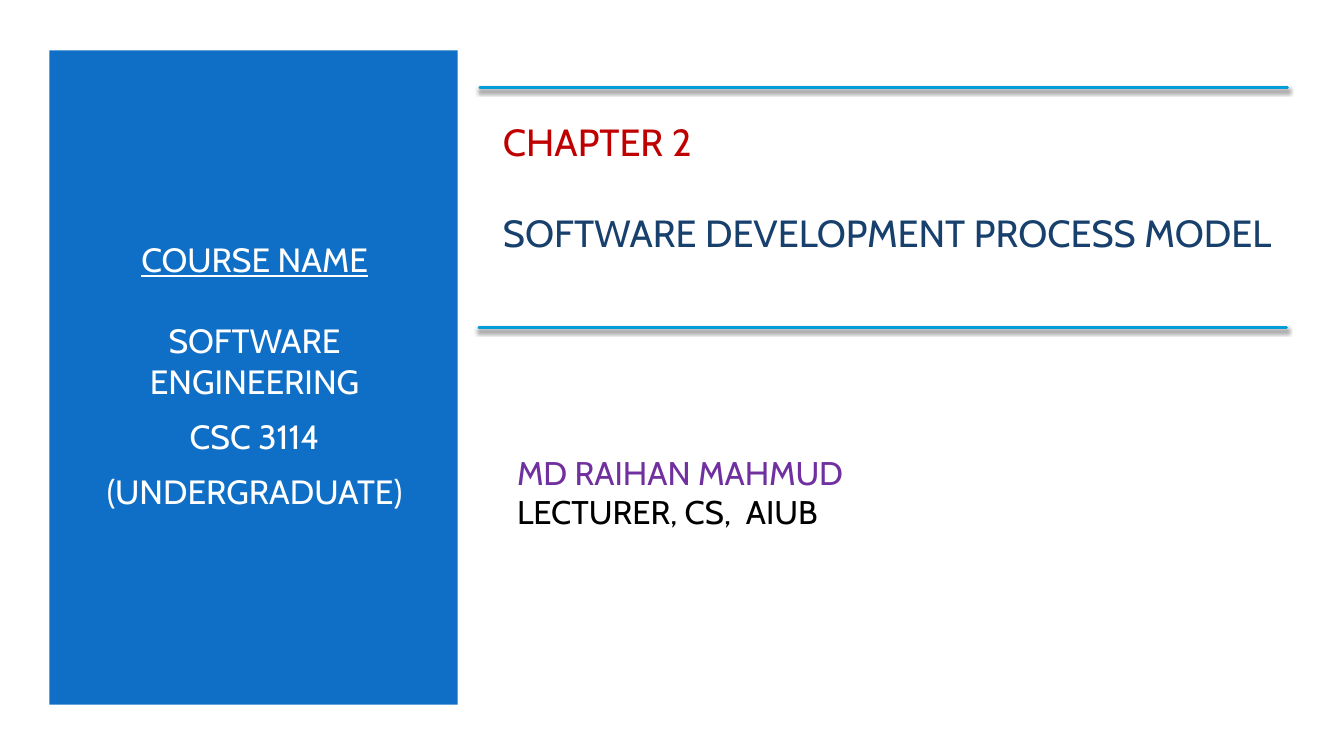
from lxml import etree
from pptx import Presentation
from pptx.dml.color import RGBColor
from pptx.enum import shapes, text
from pptx.oxml import ns
from pptx.util import Inches, Pt

COLORS = {
    "panel": "0F6FC6", "white": "FFFFFF", "chapter": "C00000", "title": "17406D",
    "lecturer": "7030A0", "black": "000000", "rule": "009DD9",
}
FONT = "Cabin"


def color(name):
    return RGBColor.from_string(COLORS[name])


def add_text(box, size, lines, align=text.PP_ALIGN.LEFT):
    """Fill a new text box; each line is (wording, colour, space before, space after)."""
    frame = slide.shapes.add_textbox(*map(Inches, box)).text_frame
    frame.word_wrap = True
    frame.vertical_anchor = text.MSO_ANCHOR.MIDDLE
    for i, (wording, shade, before, after) in enumerate(lines):
        paragraph = frame.add_paragraph() if i else frame.paragraphs[0]
        paragraph.text = wording
        paragraph.alignment = align
        paragraph.space_before, paragraph.space_after = Pt(before), Pt(after)
        paragraph.font.name = FONT
        paragraph.font.size = Pt(size)
        paragraph.font.color.rgb = color(shade)
    return frame


prs = Presentation()
prs.slide_width, prs.slide_height = Inches(13.33), Inches(7.5)
slide = prs.slides.add_slide(prs.slide_layouts[6])

panel = slide.shapes.add_shape(
    shapes.MSO_SHAPE.RECTANGLE, Inches(0.49), Inches(0.5), Inches(4.05), Inches(6.49))
panel.shadow.inherit = False
panel.fill.solid()
panel.fill.fore_color.rgb = color("panel")
panel.line.fill.background()

course = add_text((0.84, 1.1, 3.37, 5.25), 24, [
    ("COURSE NAME", "white", 0, 0),
    ("SOFTWARE ENGINEERING", "white", 29, 6),
    ("CSC 3114", "white", 4.8, 6),
    ("(UNDERGRADUATE)", "white", 4.8, 6),
], text.PP_ALIGN.CENTER)
course.paragraphs[0].font.underline = True

add_text((4.89, 1.1, 7.95, 1.51), 27, [
    ("CHAPTER 2", "chapter", 0, 0),
    ("SOFTWARE DEVELOPMENT PROCESS MODEL", "title", 33, 0),
])
add_text((5.03, 4.1, 6.66, 1.56), 23.4, [
    ("MD RAIHAN MAHMUD", "lecturer", 0, 0),
    ("LECTURER, CS,  AIUB", "black", 0, 0),
])

for left, top in ((4.76, 0.87), (4.75, 3.25)):
    rule = slide.shapes.add_connector(
        shapes.MSO_CONNECTOR.STRAIGHT,
        Inches(left), Inches(top), Inches(left + 8.01), Inches(top))
    rule.line.color.rgb = color("rule")
    rule.line.width = Pt(2)
    rule.line._get_or_add_ln().set("cap", "rnd")
    effects = etree.SubElement(rule._element.spPr, ns.qn("a:effectLst"))
    shadow = etree.SubElement(
        effects, ns.qn("a:outerShdw"), blurRad=str(Pt(3)), dist=str(Pt(2)),
        dir="5400000", algn="ctr", rotWithShape="0")
    shade = etree.SubElement(shadow, ns.qn("a:srgbClr"), val=COLORS["black"])
    etree.SubElement(shade, ns.qn("a:alpha"), val="55000")

prs.save("out.pptx")
